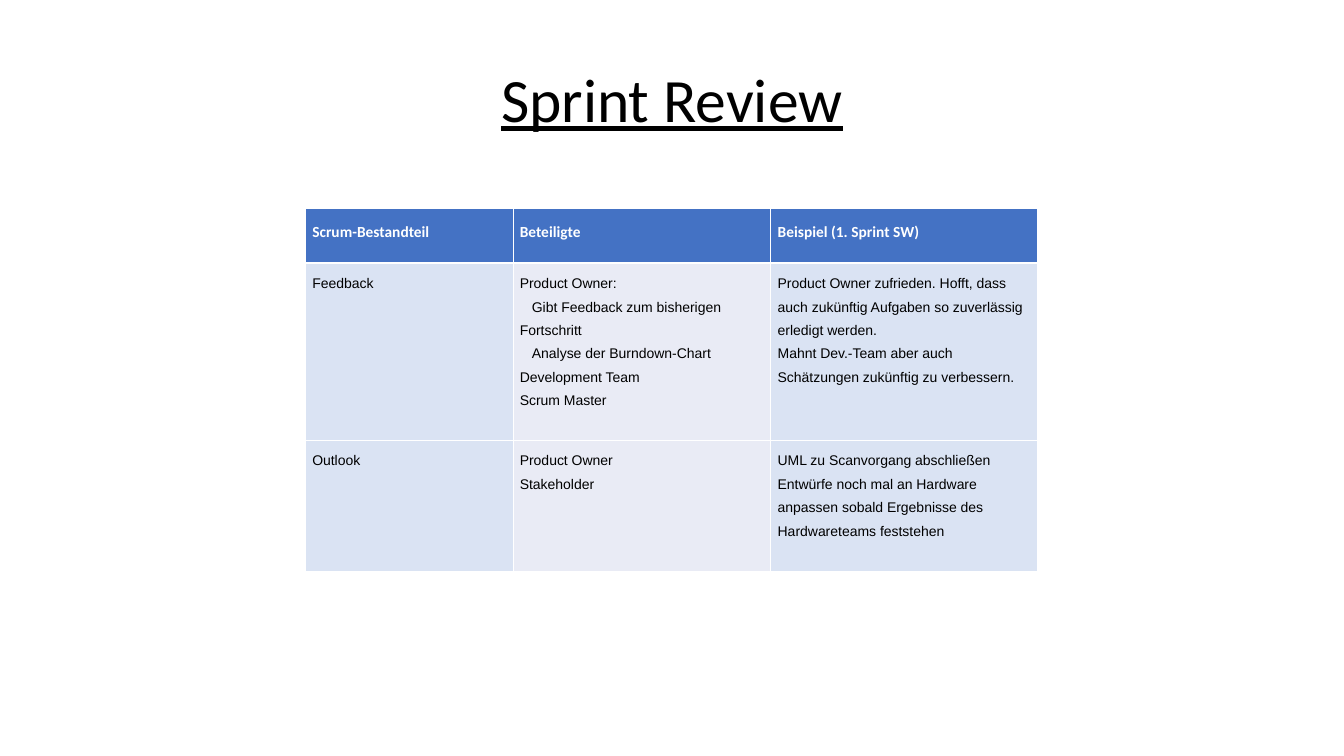
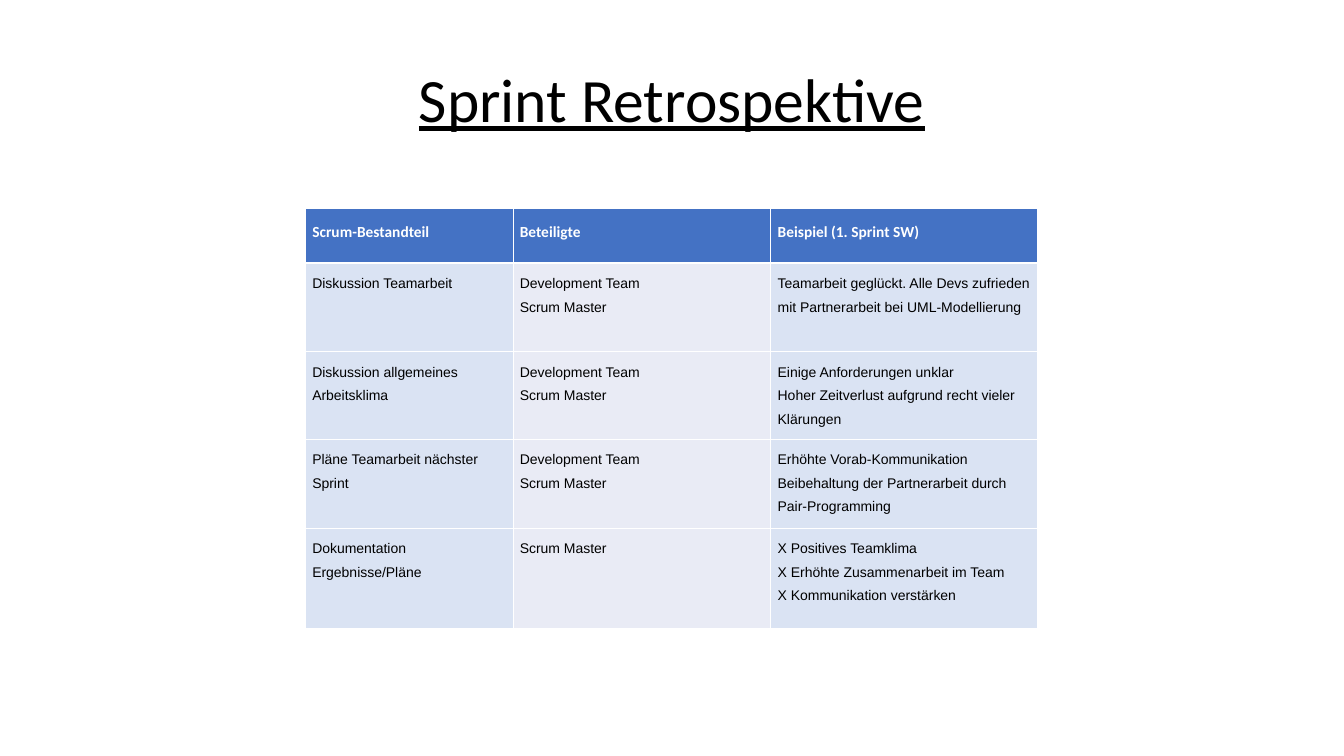
from dataclasses import dataclass

from pptx import Presentation, util as u
from pptx.dml.color import RGBColor
from pptx.enum import text as t
from pptx.oxml import parse_xml
from pptx.oxml.ns import nsdecls

PX = 9144  # EMU: 100 px to the inch

BLACK = RGBColor(0x00, 0x00, 0x00)
WHITE = RGBColor(0xFF, 0xFF, 0xFF)
BLUE = RGBColor(0x44, 0x72, 0xC4)
PALE = RGBColor(0xDA, 0xE3, 0xF3)
GREY = RGBColor(0xE9, 0xEB, 0xF5)

COLS = (206, 256, 265)
FILLS = (PALE, GREY, PALE)
HEADS = ("Scrum-Bestandteil", "Beteiligte", "Beispiel (1. Sprint SW)")
HEAD_H = 54
THIN, THICK = 0.45, 1.47


@dataclass(frozen=True)
class Line:
    text: str
    indent: int = 0


@dataclass(frozen=True)
class Row:
    height: int
    cells: tuple[tuple[Line, ...], ...]


@dataclass(frozen=True)
class Page:
    title: str
    rows: tuple[Row, ...]


def lines(*texts: str) -> tuple[Line, ...]:
    return tuple(Line(text) for text in texts)


TEAM = lines("Development Team", "Scrum Master")

PAGES = (
    Page("Sprint Review", (
        Row(176, (
            lines("Feedback"),
            (Line("Product Owner:"),
             Line("Gibt Feedback zum bisherigen Fortschritt", indent=12),
             Line("Analyse der Burndown-Chart", indent=12),
             *TEAM),
            lines("Product Owner zufrieden. Hofft, dass auch zukünftig "
                  "Aufgaben so zuverlässig erledigt werden.",
                  "Mahnt Dev.-Team aber auch Schätzungen zukünftig "
                  "zu verbessern."))),
        Row(130, (
            lines("Outlook"),
            lines("Product Owner", "Stakeholder"),
            lines("UML zu Scanvorgang abschließen",
                  "Entwürfe noch mal an Hardware anpassen sobald "
                  "Ergebnisse des Hardwareteams feststehen"))),
    )),
    Page("Sprint Retrospektive", (
        Row(88, (
            lines("Diskussion Teamarbeit"),
            TEAM,
            lines("Teamarbeit geglückt. Alle Devs zufrieden mit "
                  "Partnerarbeit bei UML-Modellierung"))),
        Row(87, (
            lines("Diskussion allgemeines Arbeitsklima"),
            TEAM,
            lines("Einige Anforderungen unklar",
                  "Hoher Zeitverlust aufgrund recht vieler Klärungen"))),
        Row(88, (
            lines("Pläne Teamarbeit nächster Sprint"),
            TEAM,
            lines("Erhöhte Vorab-Kommunikation",
                  "Beibehaltung der Partnerarbeit durch "
                  "Pair-Programming"))),
        Row(99, (
            lines("Dokumentation Ergebnisse/Pläne"),
            lines("Scrum Master"),
            lines("X Positives Teamklima",
                  "X Erhöhte Zusammenarbeit im Team",
                  "X Kommunikation verstärken"))),
    )),
)


def write(frame, content: tuple[Line, ...], *, font: str = "Arial",
          size: int = 10, color: RGBColor = BLACK, bold: bool = False,
          under: bool = False, space: float = 1.5,
          align=t.PP_ALIGN.LEFT) -> None:
    frame.word_wrap = True
    for i, line in enumerate(content):
        para = frame.add_paragraph() if i else frame.paragraphs[0]
        para.alignment = align
        para.line_spacing = space
        if line.indent:
            para._p.get_or_add_pPr().set("indent", str(line.indent * PX))
        run = para.add_run()
        run.text = line.text
        run.font.name = font
        run.font.size = u.Pt(size)
        run.font.color.rgb = color
        run.font.bold = bold
        run.font.underline = under


def edge(cell, **widths: float) -> None:
    """Draw white borders; keys are L, R, T, B in schema order."""
    props = cell._tc.get_or_add_tcPr()
    for i, (side, width) in enumerate(widths.items()):
        props.insert(i, parse_xml(
            f'<a:ln{side} {nsdecls("a")} w="{u.Pt(width)}"><a:solidFill>'
            f'<a:srgbClr val="{WHITE}"/></a:solidFill></a:ln{side}>'))


def add_title(slide, title: str) -> None:
    box = slide.shapes.add_textbox(92 * PX, 29 * PX, 1150 * PX, 145 * PX)
    box.text_frame.vertical_anchor = t.MSO_ANCHOR.MIDDLE
    write(box.text_frame, lines(title), font="Calibri", size=44,
          under=True, space=0.9, align=t.PP_ALIGN.CENTER)


def add_grid(slide, body: tuple[Row, ...]) -> None:
    rows = (Row(HEAD_H, tuple(lines(head) for head in HEADS)), *body)
    height = sum(row.height for row in rows)
    grid = slide.shapes.add_table(len(rows), len(COLS), 303 * PX, 207 * PX,
                                  sum(COLS) * PX, height * PX).table
    grid.first_row = grid.horz_banding = False
    for col, width in zip(grid.columns, COLS):
        col.width = width * PX
    for r, row in enumerate(rows):
        grid.rows[r].height = row.height * PX
        for c, content in enumerate(row.cells):
            cell = grid.cell(r, c)
            cell.margin_left = cell.margin_right = 7 * PX
            cell.margin_top = cell.margin_bottom = 5 * PX
            cell.fill.solid()
            cell.fill.fore_color.rgb = FILLS[c] if r else BLUE
            edge(cell, L=THIN, R=THIN, T=THICK if r == 1 else THIN,
                 B=THIN if r else THICK)
            if r:
                write(cell.text_frame, content)
            else:
                write(cell.text_frame, content, font="Calibri", size=11,
                      color=WHITE, bold=True)


def main() -> None:
    deck = Presentation()
    deck.slide_width, deck.slide_height = 1334 * PX, 750 * PX
    for page in PAGES:
        slide = deck.slides.add_slide(deck.slide_layouts[6])
        add_title(slide, page.title)
        add_grid(slide, page.rows)
    deck.save("out.pptx")


if __name__ == "__main__":
    main()
